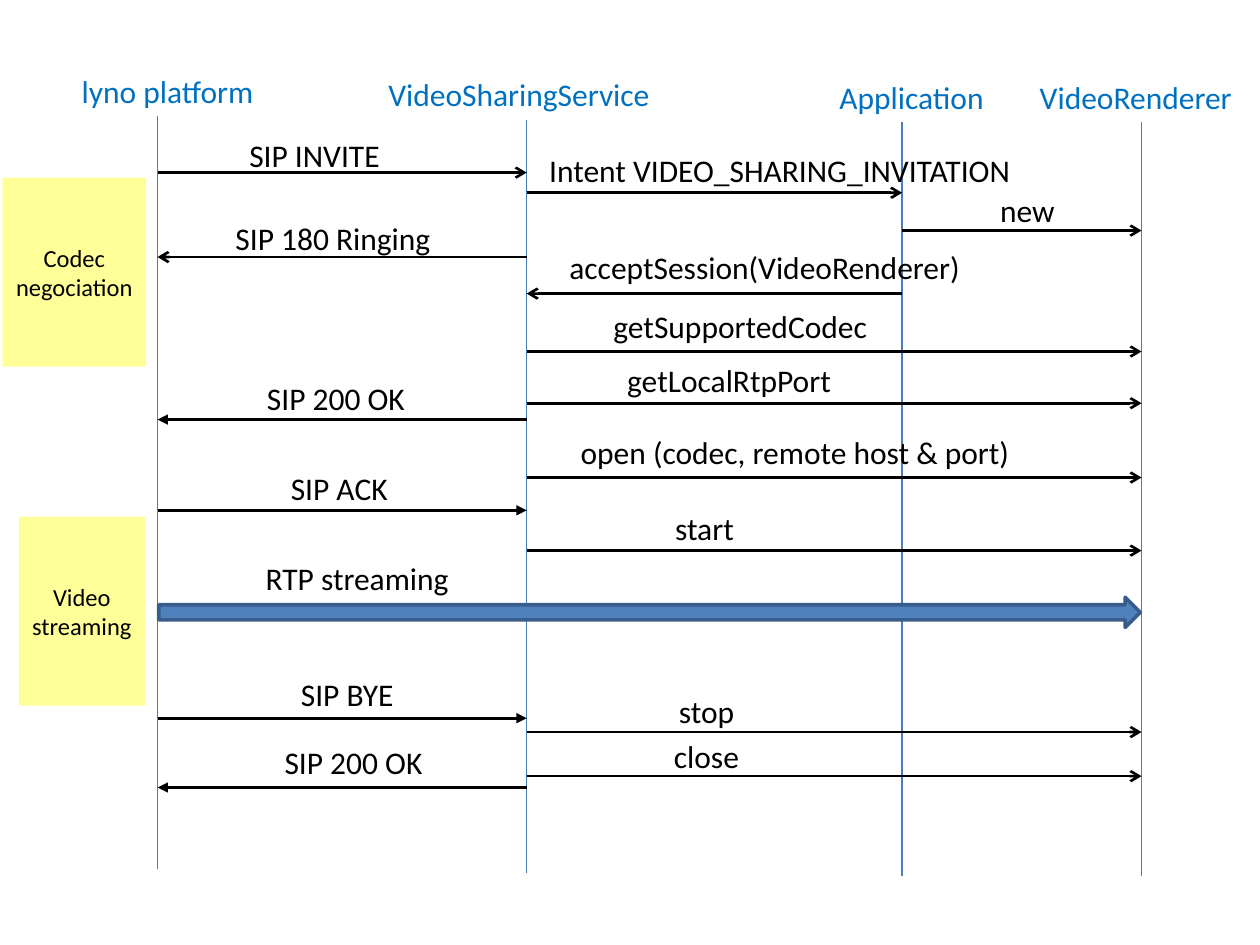
from pptx import Presentation
from pptx.dml.color import RGBColor
from pptx.enum.shapes import MSO_CONNECTOR, MSO_SHAPE
from pptx.enum.text import MSO_ANCHOR, MSO_AUTO_SIZE, PP_ALIGN
from pptx.oxml.ns import qn
from pptx.util import Pt
from lxml import etree

PX = 9144
STRAIGHT = MSO_CONNECTOR.STRAIGHT
RECTANGLE, RIGHT_ARROW = MSO_SHAPE.RECTANGLE, MSO_SHAPE.RIGHT_ARROW
LEFT, CENTER = PP_ALIGN.LEFT, PP_ALIGN.CENTER
TOP, MIDDLE = MSO_ANCHOR.TOP, MSO_ANCHOR.MIDDLE
GROW = MSO_AUTO_SIZE.SHAPE_TO_FIT_TEXT

BLACK = RGBColor(0x00, 0x00, 0x00)
HEADER_BLUE = RGBColor(0x00, 0x70, 0xC0)
LIFELINE_BLUE = RGBColor(0x4A, 0x7E, 0xBB)
STREAM_BLUE = RGBColor(0x4F, 0x81, 0xBD)
STREAM_EDGE = RGBColor(0x38, 0x5D, 0x8A)
PHASE_YELLOW = RGBColor(0xFF, 0xFF, 0x99)

FONT = "Calibri"
LABEL_HEIGHT = 40
LIFELINE_LENGTH = 598
PLATFORM, SERVICE, APPLICATION, RENDERER = 125, 418, 716, 906

PARTICIPANTS = [
    ("lyno platform", (55, 52, 165), PLATFORM, LEFT),
    ("VideoSharingService", (284, 55, 256), SERVICE, CENTER),
    ("Application", (645, 57, 157), APPLICATION, CENTER),
    ("VideoRenderer", (813, 57, 177), RENDERER, CENTER),
]

MESSAGES = [
    ("SIP INVITE", (188, 103, 125), PLATFORM, SERVICE, 34, "arrow"),
    ("Intent VIDEO_SHARING_INVITATION", (426, 115, 391), SERVICE, APPLICATION, 38, "arrow"),
    ("new", (784, 147, 63), APPLICATION, RENDERER, 36, "arrow"),
    ("SIP 180 Ringing", (177, 169, 175), SERVICE, PLATFORM, 35, "arrow"),
    ("acceptSession(VideoRenderer)", (442, 192, 331), APPLICATION, SERVICE, 41, "arrow"),
    ("getSupportedCodec", (477, 239, 222), SERVICE, RENDERER, 40, "arrow"),
    ("getLocalRtpPort", (488, 282, 183), SERVICE, RENDERER, 38, "arrow"),
    ("SIP 200 OK", (202, 296, 131), SERVICE, PLATFORM, 37, "triangle"),
    ("open (codec, remote host & port)", (451, 339, 361), SERVICE, RENDERER, 40, "arrow"),
    ("SIP ACK", (221, 367, 97), PLATFORM, SERVICE, 38, "triangle"),
    ("start", (526, 399, 67), SERVICE, RENDERER, 38, "arrow"),
    ("SIP BYE", (229, 531, 94), PLATFORM, SERVICE, 39, "triangle"),
    ("stop", (529, 544, 64), SERVICE, RENDERER, 37, "arrow"),
    ("close", (525, 580, 73), SERVICE, RENDERER, 36, "arrow"),
    ("SIP 200 OK", (216, 585, 131), SERVICE, PLATFORM, 40, "triangle"),
]

PHASES = [
    (("Codec", "negociation"), (2, 141, 114, 150)),
    (("Video", "streaming"), (15, 410, 100, 150)),
]


def px(*lengths):
    """Turn lengths in px into EMU."""
    return [length * PX for length in lengths]


def write(frame, lines, size, color, align, wrap, anchor):
    """Fill a text frame with one paragraph per line."""
    frame.word_wrap = wrap
    frame.vertical_anchor = anchor
    for index, line in enumerate(lines):
        paragraph = frame.add_paragraph() if index else frame.paragraphs[0]
        paragraph.alignment = align
        run = paragraph.add_run()
        run.text = line
        run.font.name = FONT
        run.font.size = Pt(size)
        run.font.color.rgb = color


def add_label(slide, box, text, color, align, wrap):
    """Place one line of text in a (left, top, width) box that grows to fit."""
    label = slide.shapes.add_textbox(*px(*box, LABEL_HEIGHT))
    label.text_frame.auto_size = GROW
    write(label.text_frame, [text], 18, color, align, wrap, TOP)


def add_line(slide, start, end, color, width, arrowhead=None):
    """Draw a straight line, with an arrowhead at its end if one is named."""
    line = slide.shapes.add_connector(STRAIGHT, *px(*start, *end))
    line.line.color.rgb = color
    line.line.width = Pt(width)
    properties = line.element.spPr
    if arrowhead:
        etree.SubElement(properties.find(qn("a:ln")), qn("a:tailEnd"), type=arrowhead)
    etree.SubElement(properties, qn("a:effectLst"))


def add_participant(slide, box, name, x, align):
    """Place a participant's name above its lifeline."""
    top = box[1] + LABEL_HEIGHT
    add_line(slide, (x, top), (x, top + LIFELINE_LENGTH), LIFELINE_BLUE, 0.75)
    add_label(slide, box, name, HEADER_BLUE, align, True)


def add_message(slide, box, text, sender, receiver, drop, arrowhead):
    """Place a message's label and, a drop below its top, the arrow."""
    y = box[1] + drop
    add_line(slide, (sender, y), (receiver, y), BLACK, 1.5, arrowhead)
    add_label(slide, box, text, BLACK, LEFT, False)


def add_phase(slide, box, lines):
    """Place a yellow block that names a phase of the call."""
    phase = slide.shapes.add_shape(RECTANGLE, *px(*box))
    phase.shadow.inherit = False
    phase.fill.solid()
    phase.fill.fore_color.rgb = PHASE_YELLOW
    phase.line.fill.background()
    write(phase.text_frame, lines, 14, BLACK, CENTER, True, MIDDLE)


def add_stream(slide, box):
    """Place the block arrow for the media stream and its label above it."""
    left, top, width, height = box
    stream = slide.shapes.add_shape(RIGHT_ARROW, *px(left, top, width, height))
    stream.shadow.inherit = False
    stream.fill.solid()
    stream.fill.fore_color.rgb = STREAM_BLUE
    stream.line.color.rgb = STREAM_EDGE
    stream.line.width = Pt(2)
    add_label(slide, (left + 75, top - 35, 166), "RTP streaming", BLACK, LEFT, False)


def main():
    """Build the sequence diagram and save it."""
    deck = Presentation()
    deck.slide_width, deck.slide_height = px(1000, 750)
    slide = deck.slides.add_slide(deck.slide_layouts[6])
    for name, box, x, align in PARTICIPANTS:
        add_participant(slide, box, name, x, align)
    for text, box, *route in MESSAGES:
        add_message(slide, box, text, *route)
    for lines, box in PHASES:
        add_phase(slide, box, lines)
    add_stream(slide, (126, 474, 779, 24))
    deck.save("out.pptx")


if __name__ == "__main__":
    main()
